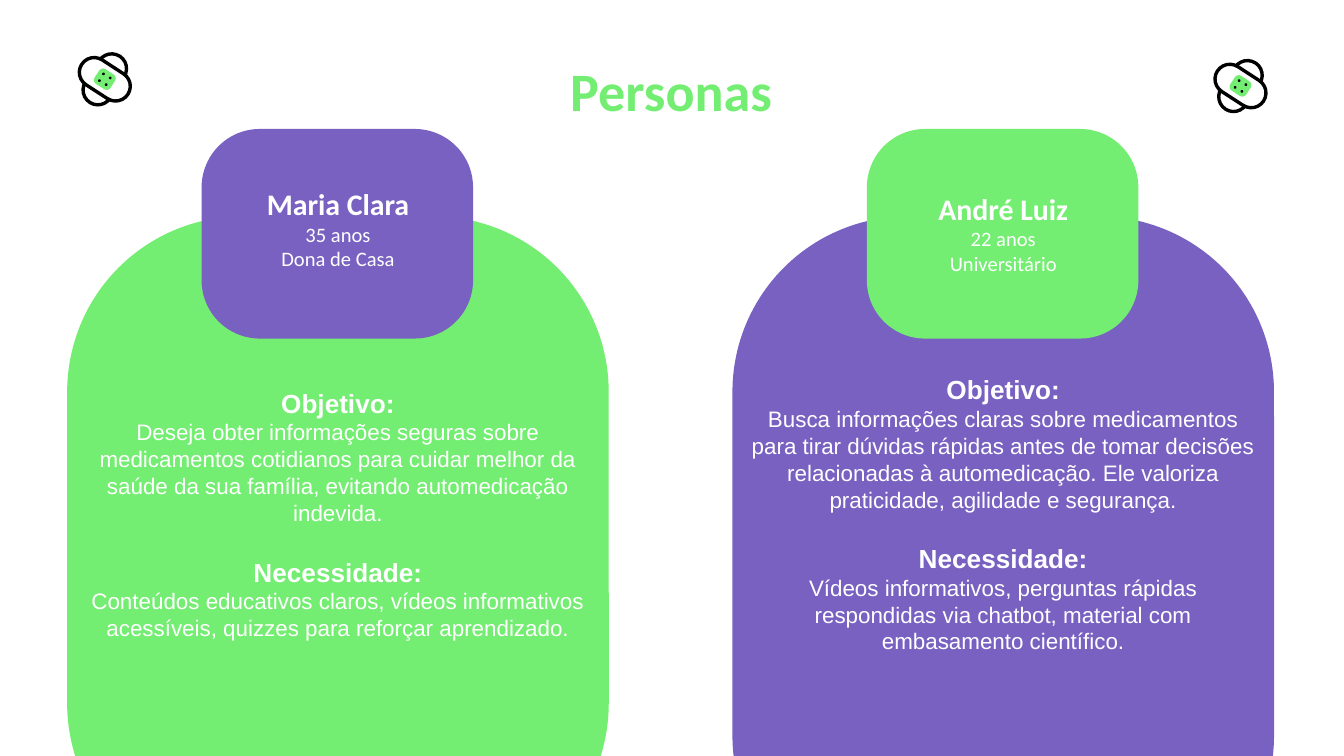
import pptx
import pptx.util
import pptx.dml.color
import pptx.enum.shapes
import pptx.enum.text

Inches = pptx.util.Inches
Pt = pptx.util.Pt
RGBColor = pptx.dml.color.RGBColor
SHAPES = pptx.enum.shapes.MSO_SHAPE
ANCHOR = pptx.enum.text.MSO_ANCHOR

GREEN = RGBColor(0x74, 0xEE, 0x72)
PURPLE = RGBColor(0x79, 0x61, 0xC2)
WHITE = RGBColor(0xFF, 0xFF, 0xFF)
BLACK = RGBColor(0x00, 0x00, 0x00)

# Each persona: panel left, panel height, colours, card text top and height, texts
PERSONAS = [
    dict(left=0.5, height=4.93, panel=GREEN, card=PURPLE,
         card_text=(1.13, 1.14),
         name="Maria Clara", details=["35 anos", "Dona de Casa"],
         goal="Deseja obter informações seguras sobre medicamentos cotidianos "
              "para cuidar melhor da saúde da sua família, evitando "
              "automedicação indevida.",
         need="Conteúdos educativos claros, vídeos informativos acessíveis, "
              "quizzes para reforçar aprendizado."),
    dict(left=5.45, height=5.17, panel=PURPLE, card=GREEN,
         card_text=(1.2, 1.07),
         name="André Luiz", details=["22 anos", "Universitário"],
         goal="Busca informações claras sobre medicamentos para tirar dúvidas "
              "rápidas antes de tomar decisões relacionadas à automedicação. "
              "Ele valoriza praticidade, agilidade e segurança.",
         need="Vídeos informativos, perguntas rápidas respondidas via chatbot, "
              "material com embasamento científico."),
]


def add_block(page, kind, left, top, width, height, fill, corner=None,
              angle=0, outline=None):
    block = page.shapes.add_shape(kind, Inches(left), Inches(top),
                                  Inches(width), Inches(height))
    block.shadow.inherit = False
    block.fill.solid()
    block.fill.fore_color.rgb = fill
    block.rotation = angle
    if corner is not None:
        block.adjustments[0] = corner
    if outline is None:
        block.line.fill.background()
    else:
        block.line.color.rgb = outline
        block.line.width = Pt(1.8)


def add_text(page, left, top, width, height, lines, font, color,
             anchor=ANCHOR.MIDDLE):
    """Write lines of (text, size, bold, space before) centred in a box."""
    box = page.shapes.add_textbox(Inches(left), Inches(top),
                                  Inches(width), Inches(height))
    frame = box.text_frame
    frame.word_wrap = True
    frame.vertical_anchor = anchor
    frame.margin_left = frame.margin_right = Inches(0.1)
    frame.margin_top = frame.margin_bottom = Inches(0.1)
    for index, (text, size, bold, before) in enumerate(lines):
        para = frame.add_paragraph() if index else frame.paragraphs[0]
        para.alignment = pptx.enum.text.PP_ALIGN.CENTER
        para.space_before = Pt(before)
        span = para.add_run()
        span.text = text
        span.font.name = font
        span.font.size = Pt(size)
        span.font.bold = bold
        span.font.color.rgb = color


def add_bandages(page, x, y):
    """Draw two crossed bandages centred on a point."""
    def centred(kind, dx, dy, width, height, fill, **style):
        add_block(page, kind, x + dx - width / 2, y + dy - height / 2,
                  width, height, fill, **style)

    for angle in (-57, 33):
        centred(SHAPES.ROUNDED_RECTANGLE, 0, 0, 0.41, 0.22, WHITE,
                corner=0.5, angle=angle, outline=BLACK)
    centred(SHAPES.ROUNDED_RECTANGLE, 0, 0, 0.14, 0.13, GREEN,
            corner=0.25, angle=33)
    for dx, dy in ((-0.04, 0.01), (-0.01, -0.04), (0.01, 0.04), (0.04, -0.01)):
        centred(SHAPES.OVAL, dx, dy, 0.02, 0.02, BLACK)


def add_persona(page, persona):
    left = persona["left"]
    # Panel with the name card overlapping its top edge
    add_block(page, SHAPES.ROUNDED_RECTANGLE, left, 1.61, 4.03,
              persona["height"], persona["panel"], corner=0.324)
    add_block(page, SHAPES.ROUNDED_RECTANGLE, left + 1, 0.96, 2.02, 1.56,
              persona["card"], corner=0.278)
    # Name, age and occupation
    top, height = persona["card_text"]
    lines = [(persona["name"], 16, True, 0)]
    lines += [(detail, 11, False, 0) for detail in persona["details"]]
    add_text(page, left + 0.82, top, 2.39, height, lines, "Calibri", WHITE)
    # Goal and need
    lines = [("Objetivo:", 14, True, 0), (persona["goal"], 12, False, 0),
             ("Necessidade:", 14, True, 16), (persona["need"], 12, False, 0)]
    add_text(page, left, 2.32, 4.03, 3.01, lines, "Arial", WHITE)


def main():
    # Widescreen 16:9 page
    deck = pptx.Presentation()
    deck.slide_width = Inches(10)
    deck.slide_height = deck.slide_width * 9 // 16
    page = deck.slides.add_slide(deck.slide_layouts[6])

    # Icons in the top corners
    add_bandages(page, 0.78, 0.59)
    add_bandages(page, 9.23, 0.64)

    # Title
    add_text(page, 0.78, 0.33, 8.43, 0.63, [("Personas", 29, True, 0)],
             "Calibri", GREEN, anchor=ANCHOR.TOP)

    for persona in PERSONAS:
        add_persona(page, persona)

    deck.save("out.pptx")


if __name__ == "__main__":
    main()
